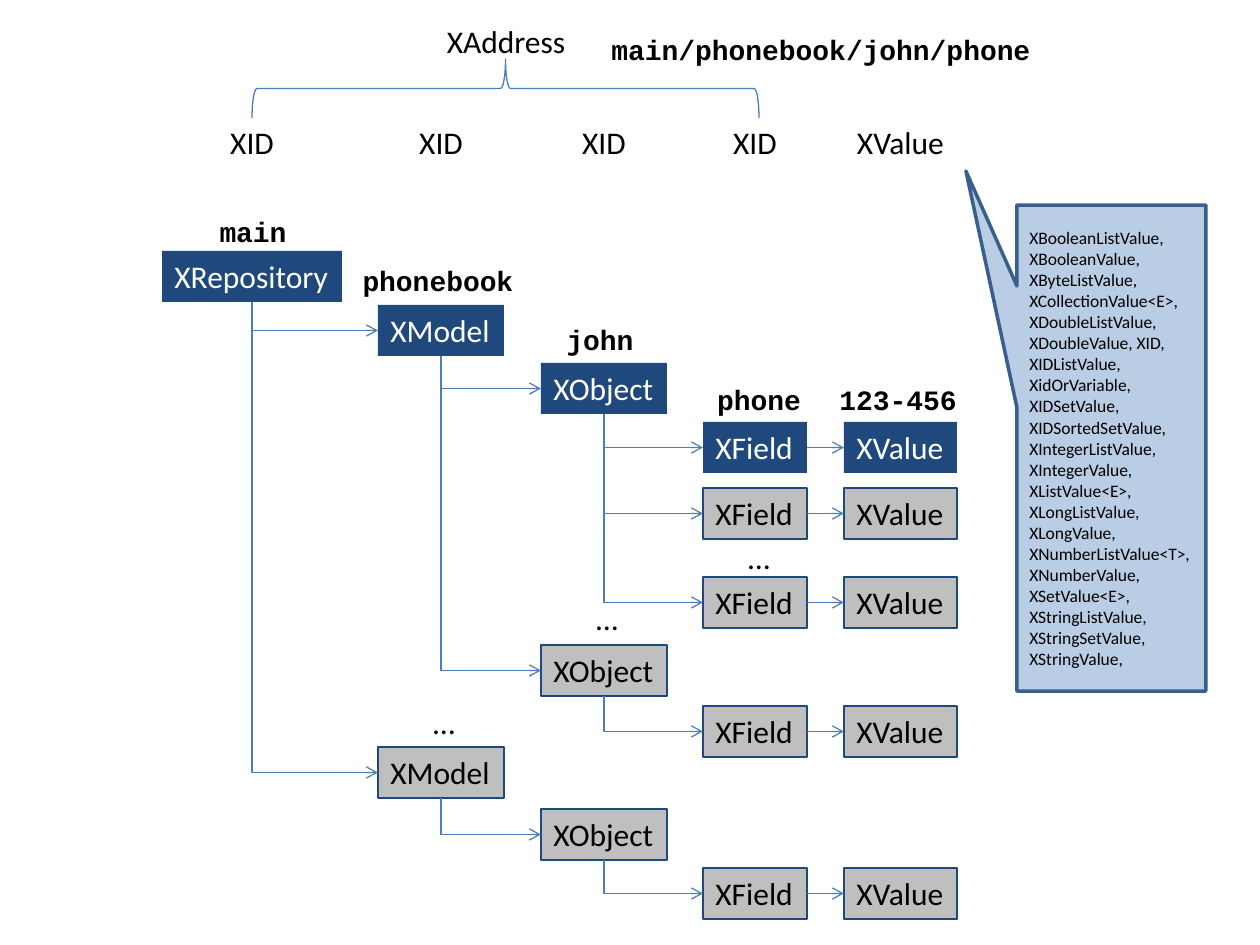
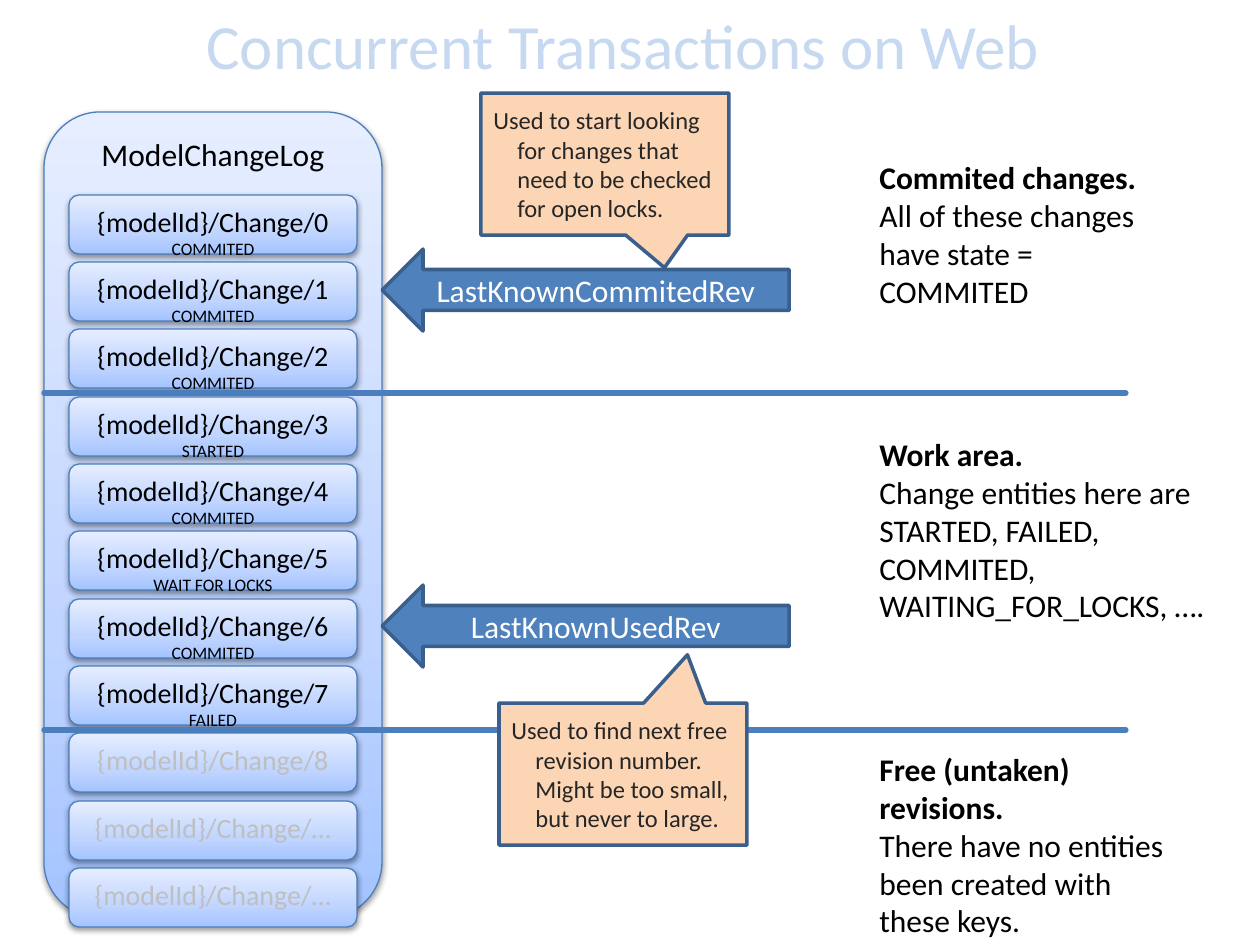
from lxml.etree import SubElement
from pptx import Presentation
from pptx.dml.color import RGBColor as Rgb
from pptx.enum.shapes import MSO_CONNECTOR as Conn, MSO_SHAPE as Form
from pptx.enum.text import MSO_ANCHOR as Anchor, MSO_AUTO_SIZE as Fit, PP_ALIGN as Align
from pptx.oxml.ns import qn
from pptx.util import Emu, Pt

HUES = {
    "navy": "1F497D", "grey": "BFBFBF", "blue": "4F81BD", "edge": "3A5F8C",
    "wire": "4B7EBC", "pale": "B9CDE5", "peach": "FCD5B5", "title": "C6D9F1",
    "black": "000000", "white": "FFFFFF", "ink": "262626",
    "deep": "A4C4FF", "mid": "BFD4FF", "light": "E6EEFF",
}
SANS, MONO = "Calibri", "Courier New"
TALL = 51
COLS = [("XRepository", 1, 180), ("XModel", 217, 126), ("XObject", 380, 126),
        ("XField", 542, 104), ("XValue", 683, 113)]
NODES = [(0, 0, True), (1, 54, True), (2, 112, True), (3, 171, True),
         (3, 237, False), (3, 326, False), (2, 394, False), (3, 455, False),
         (1, 496, False), (2, 558, False), (3, 617, False)]
NAMES = [("main", 92, -43), ("phonebook", 277, 6), ("john", 439, 65),
         ("phone", 598, 125), ("123-456", 737, 125)]
MORE = [(598, 281), (446, 342), (283, 446)]
VALUES = (
    "XBooleanListValue, XBooleanValue, XByteListValue, XCollectionValue<E>, "
    "XDoubleListValue, XDoubleValue, XID, XIDListValue, XidOrVariable, XIDSetValue, "
    "XIDSortedSetValue, XIntegerListValue, XIntegerValue, XListValue<E>, "
    "XLongListValue, XLongValue, XNumberListValue<T>, XNumberValue, XSetValue<E>, "
    "XStringListValue, XStringSetValue, XStringValue,")
STATES = ["COMMITED", "COMMITED", "COMMITED", "STARTED", "COMMITED",
          "WAIT FOR LOCKS", "COMMITED", "FAILED"]


def px(num):
    """Turn px into EMU."""
    return Emu(round(num * 914400 / 126))


def hue(name):
    """Look up a colour."""
    return Rgb.from_string(HUES[name])


def write(shape, text, size=18, color="black", font=SANS, bold=False,
          align=Align.LEFT, anchor=Anchor.TOP, wrap=True):
    """Fill a shape with evenly styled text."""
    frame = shape.text_frame
    frame.text = text
    frame.word_wrap = wrap
    frame.vertical_anchor = anchor
    if not wrap:
        frame.auto_size = Fit.SHAPE_TO_FIT_TEXT
    for para in frame.paragraphs:
        para.alignment = align
        para.font.name = font
        para.font.size = Pt(size)
        para.font.bold = bold
        para.font.color.rgb = hue(color)
    return frame


def draw(slide, form, box, fill=None, line=None, weight=0.75):
    """Add a flat preset shape."""
    shape = slide.shapes.add_shape(form, *map(px, box))
    shape.shadow.inherit = False
    if fill:
        shape.fill.solid()
        shape.fill.fore_color.rgb = hue(fill)
    else:
        shape.fill.background()
    if line:
        shape.line.color.rgb = hue(line)
        shape.line.width = Pt(weight)
    else:
        shape.line.fill.background()
    return shape


def label(slide, text, mid, top, width, height=TALL, **look):
    """Add one centred line of text around a middle x."""
    box = slide.shapes.add_textbox(*map(px, (mid - width / 2, top, width, height)))
    write(box, text, align=Align.CENTER, wrap=False, **look)


def mono(slide, text, mid, top):
    """Add a bold code label."""
    label(slide, text, mid, top, 25 + 17 * len(text), 46, size=16, font=MONO, bold=True)


def wire(slide, kind, ends, weight=0.75, head=True):
    """Add a connector with an arrowhead or round ends."""
    link = slide.shapes.add_connector(kind, *map(px, ends))
    link.line.color.rgb = hue("wire")
    link.line.width = Pt(weight)
    props = link._element.spPr
    line = props.find(qn("a:ln"))
    if head:
        SubElement(line, qn("a:tailEnd"), type="arrow")
    else:
        line.set("cap", "rnd")
    SubElement(props, qn("a:effectLst"))
    return link


def elbow(slide, x, y, right, low):
    """Draw an arrow that goes down, then right."""
    wide, deep = right - x, low - y
    left, top = x + (wide - deep) / 2, y + (deep - wide) / 2
    link = wire(slide, Conn.ELBOW, (left, top, left + deep, top + wide))
    props = link._element.spPr
    props.find(qn("a:prstGeom")).set("prst", "bentConnector2")
    frame = props.find(qn("a:xfrm"))
    frame.set("rot", "16200000")
    frame.set("flipH", "1")


def node(slide, x, y, col, lit):
    """Draw one tree box."""
    text, left, width = COLS[col]
    fill, line, color = ("navy", None, "white") if lit else ("grey", "navy", "black")
    shape = draw(slide, Form.RECTANGLE, (x + left, y, width, TALL), fill, line)
    write(shape, text, color=color, wrap=False)
    return shape


def tree(slide, x, y):
    """Draw the tree of entities with its names."""
    last = {}
    for col, row, lit in NODES:
        top = y + row
        shape = node(slide, x, top, col, lit)
        last[col] = top
        if col:
            _, left, width = COLS[col - 1]
            elbow(slide, x + left + width // 2, last[col - 1] + TALL,
                  x + COLS[col][1], top + TALL / 2)
        if col == 3:
            value = node(slide, x, top, 4, lit)
            link = wire(slide, Conn.STRAIGHT, (0, 0, 1, 1))
            link.begin_connect(shape, 3)
            link.end_connect(value, 1)
    for text, mid, row in NAMES:
        mono(slide, text, x + mid, y + row)
    for mid, row in MORE:
        label(slide, "…", x + mid, y + row, 48)


def address(slide, x, y):
    """Draw the address row with its brace."""
    label(slide, "XAddress", x + 345, y, 145)
    mono(slide, "main/phonebook/john/phone", x + 660, y + 10)
    brace = draw(slide, Form.LEFT_BRACE, (x + 315, y - 181, 59, 507), None, "wire")
    brace.rotation = 90
    for col, (_, left, width) in enumerate(COLS):
        text, span = ("XValue", 113) if col == 4 else ("XID", 69)
        label(slide, text, x + left + width / 2, y + 101, span)


def callout(slide, box, tip, text, fill, size, color="black", hang=0):
    """Draw a speech box that points at a tip."""
    shape = draw(slide, Form.RECTANGULAR_CALLOUT, box, fill, "edge", 2)
    shape.adjustments[0], shape.adjustments[1] = tip
    frame = write(shape, text, size, color, anchor=Anchor.MIDDLE)
    if hang:
        props = frame.paragraphs[0]._p.get_or_add_pPr()
        props.set("marL", str(px(hang)))
        props.set("indent", str(-px(hang)))


def card(slide, box, text, size, color="black"):
    """Draw a shaded rounded box with a soft shadow."""
    shape = draw(slide, Form.ROUNDED_RECTANGLE, box, "mid", "wire")
    shape.fill.gradient()
    shape.fill.gradient_angle = 90
    props = shape._element.spPr
    stops = props.find(".//" + qn("a:gsLst"))
    stops.clear()
    for pos, name in ((0, "deep"), (35000, "mid"), (100000, "light")):
        stop = SubElement(stops, qn("a:gs"), pos=str(pos))
        SubElement(stop, qn("a:srgbClr"), val=HUES[name])
    shade = SubElement(props.find(qn("a:effectLst")), qn("a:outerShdw"),
                       blurRad="40000", dist="20000", dir="5400000", rotWithShape="0")
    tint = SubElement(shade, qn("a:srgbClr"), val=HUES["black"])
    SubElement(tint, qn("a:alpha"), val="38000")
    return write(shape, text, size, color, align=Align.CENTER)


def log(slide, x, y):
    """Draw the change log with its stack of entries."""
    card(slide, (x, y, 338, 806), "ModelChangeLog", 18)
    for num in range(11):
        box = (x + 25, y + 83 + num * 202 // 3, 288, 59)
        name = "{modelId}/Change/" + (str(num) if num < 9 else "…")
        if num < len(STATES):
            frame = card(slide, box, name, 16)
            para = frame.paragraphs[0]
            para.add_line_break()
            run = para.add_run()
            run.text = STATES[num]
            run.font.size = Pt(10)
        else:
            card(slide, box, name, 16, "grey")


def note(slide, box, head, text):
    """Add a bold heading with its text."""
    shape = slide.shapes.add_textbox(*map(px, box))
    frame = write(shape, head + "\n" + text)
    frame.paragraphs[0].font.bold = True


def arrow(slide, x, y, text):
    """Draw a block arrow that points left."""
    shape = draw(slide, Form.LEFT_ARROW, (x, y, 407, 82), "blue", "edge", 2)
    write(shape, text, color="white", align=Align.CENTER, anchor=Anchor.MIDDLE)


def model(slide):
    """Build the slide on addresses and entities."""
    tree(slide, 161, 251)
    callout(slide, (1017, 205, 189, 486), (-0.77, -0.57), VALUES, "pale", 10)
    address(slide, 161, 16)


def change(slide):
    """Build the slide on concurrent changes."""
    log(slide, 44, 112)
    label(slide, "Concurrent Transactions on Web", 623, 0, 900, 89,
          size=36, color="title")
    for y in (730, 393):
        wire(slide, Conn.STRAIGHT, (44, y, 1126, y), 3, False)
    note(slide, (867, 152, 282, 165), "Commited changes.",
         "All of these changes have state = COMMITED")
    note(slide, (867, 429, 363, 204), "Work area.",
         "Change entities here are STARTED, FAILED, COMMITED, WAITING_FOR_LOCKS, ….")
    note(slide, (867, 744, 326, 204), "Free (untaken) revisions.",
         "There have no entities been created with these keys.")
    arrow(slide, 382, 249, "LastKnownCommitedRev")
    arrow(slide, 382, 585, "LastKnownUsedRev")
    for x, y, tip, text in (
            (499, 703, (0.26, -0.84), "Used to find next free revision number. "
             "Might be too small, but never to large."),
            (481, 93, (0.24, 0.73), "Used to start looking for changes that "
             "need to be checked for open locks.")):
        callout(slide, (x, y, 248, 142), tip, text, "peach", 14, "ink", 24)


def main():
    """Build and save the deck."""
    deck = Presentation()
    deck.slide_width, deck.slide_height = px(1260), px(945)
    for build in (model, change):
        build(deck.slides.add_slide(deck.slide_layouts[6]))
    deck.save("out.pptx")


if __name__ == "__main__":
    main()
